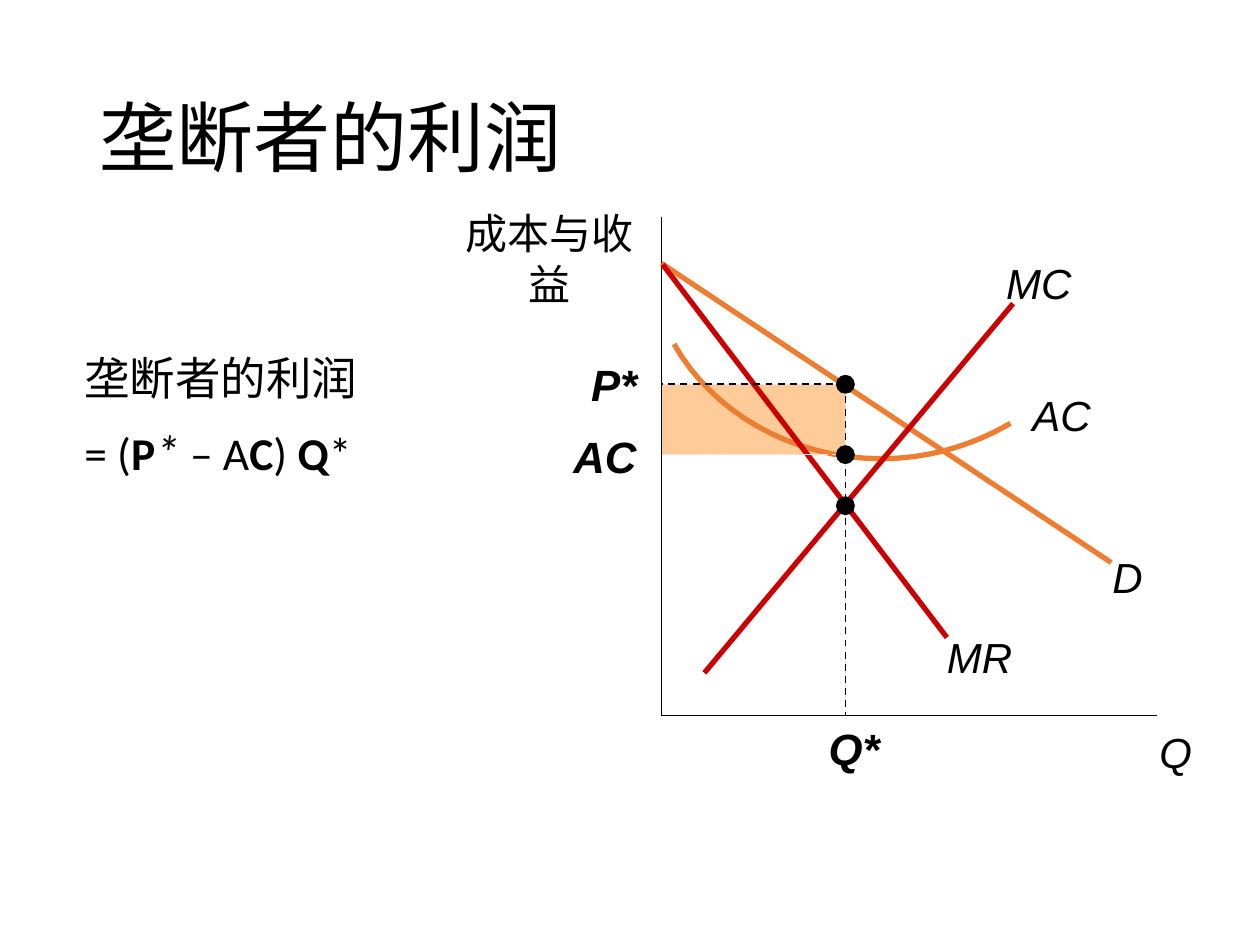
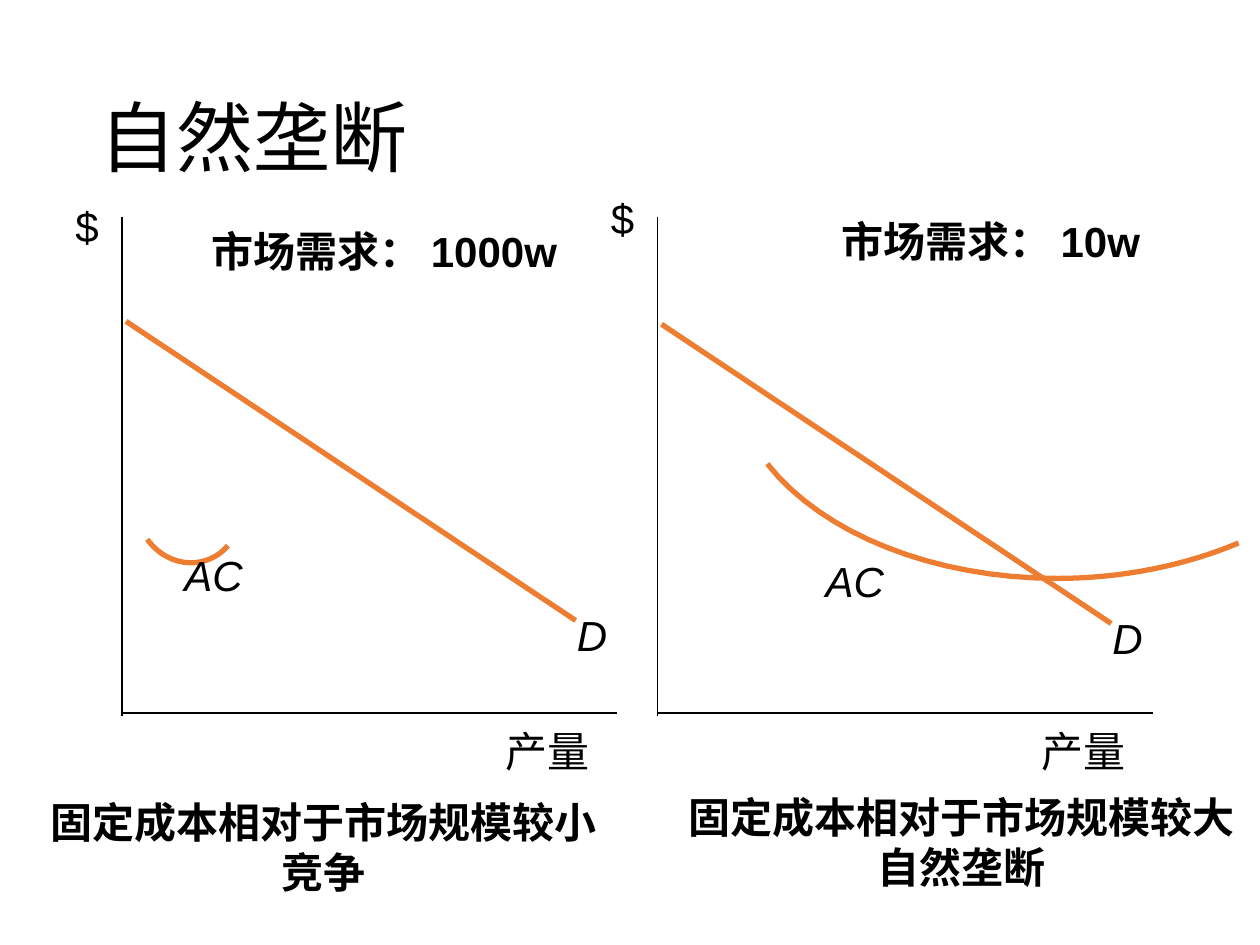
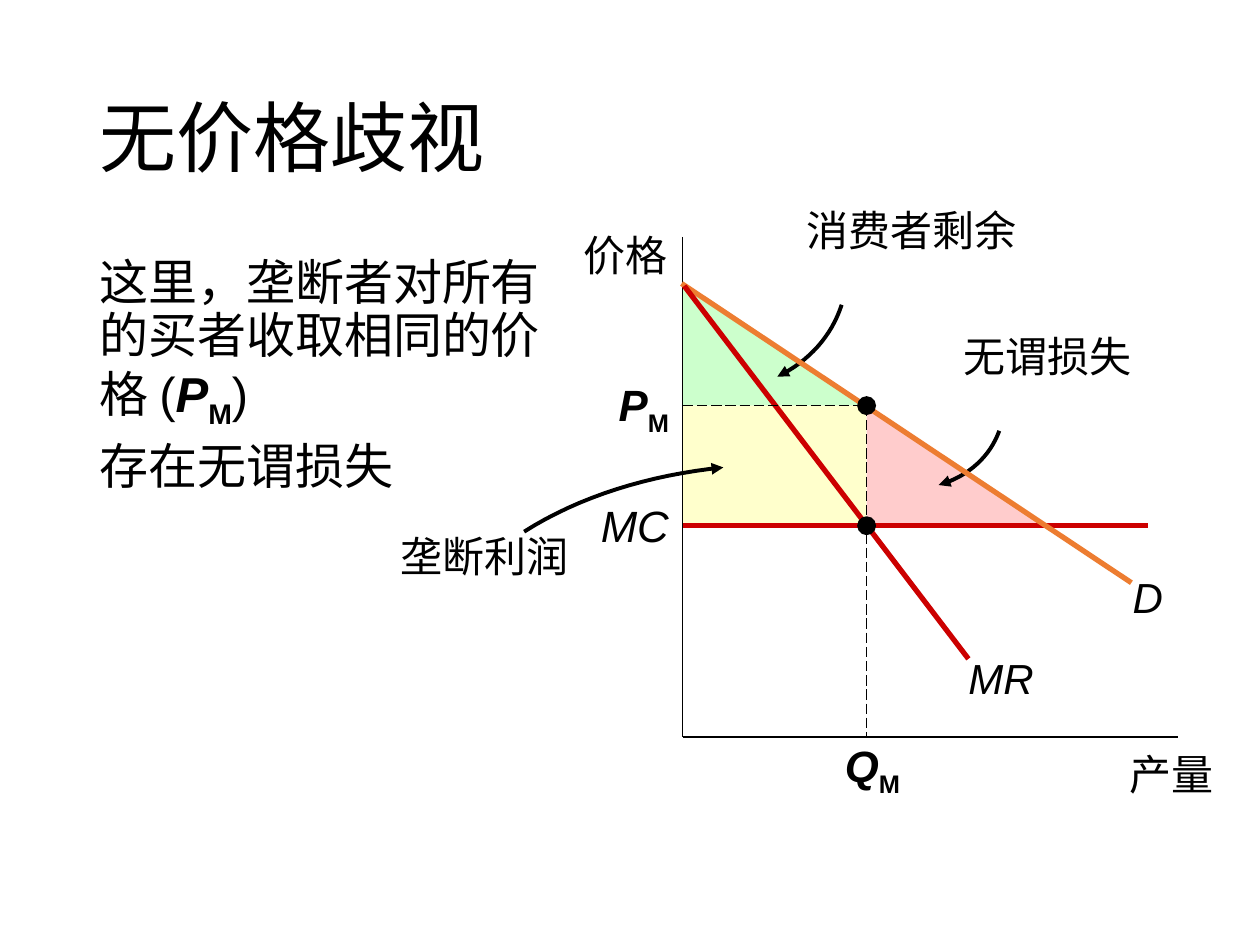
from lxml import etree
from pptx import Presentation
from pptx.dml.color import RGBColor
from pptx.enum.dml import MSO_LINE
from pptx.enum.shapes import MSO_CONNECTOR, MSO_SHAPE
from pptx.enum.text import MSO_ANCHOR, MSO_AUTO_SIZE, PP_ALIGN
from pptx.oxml.ns import qn
from pptx.util import Pt

LEFT, CENTER, RIGHT = PP_ALIGN.LEFT, PP_ALIGN.CENTER, PP_ALIGN.RIGHT
DASH, LONG_DASH = MSO_LINE.DASH, MSO_LINE.LONG_DASH
RECTANGLE, OVAL = MSO_SHAPE.RECTANGLE, MSO_SHAPE.OVAL
RIGHT_TRIANGLE = MSO_SHAPE.RIGHT_TRIANGLE

COLORS = {
    "ink": "000000",
    "demand": "ED7D31",
    "marginal": "CC0000",
    "faint": "E7E6E6",
    "profit": "FFCC99",
    "surplus": "CCFFCC",
    "loss": "FFCCCC",
    "revenue": "FFFFCC",
}
TITLE_ONLY, TITLE_AND_CONTENT = 5, 1
AXIS_WIDTH = 283
DOT_SIZE = 10.8
CURVE_STEPS = 16
BOLD_ITALIC = {"bold": True, "italic": True}


def color(name):
    return RGBColor.from_string(COLORS[name])


# Text
def write_paragraph(paragraph, runs, size, font="Arial", align=LEFT,
                    bold=False, italic=False):
    """Fill a paragraph with plain text or with (text, style) runs."""
    paragraph.alignment = align
    paragraph.font.name = font
    paragraph.font.size = Pt(size)
    paragraph.font.bold = bold
    paragraph.font.italic = italic
    paragraph.font.color.rgb = color("ink")
    if isinstance(runs, str):
        runs = [(runs, {})]
    for text, style in runs:
        run = paragraph.add_run()
        run.text = text
        if "bold" in style:
            run.font.bold = style["bold"]
        if "italic" in style:
            run.font.italic = style["italic"]
        if "size" in style:
            run.font.size = Pt(style["size"])
        if style.get("subscript"):
            run._r.get_or_add_rPr().set("baseline", "-25000")


def add_text_box(slide, left, top, width, height):
    box = slide.shapes.add_textbox(Pt(left), Pt(top), Pt(width), Pt(height))
    frame = box.text_frame
    frame.word_wrap = True
    frame.margin_left = frame.margin_right = 0
    frame.margin_top = frame.margin_bottom = 0
    return frame


def add_label(slide, left, top, width, runs, size=24, align=CENTER, lines=1,
              bold=False, italic=False):
    frame = add_text_box(slide, left, top, width, 29 * lines)
    write_paragraph(frame.paragraphs[0], runs, size, align=align,
                    bold=bold, italic=italic)


def place(placeholder, left, top, width, height):
    placeholder.left, placeholder.top = Pt(left), Pt(top)
    placeholder.width, placeholder.height = Pt(width), Pt(height)
    placeholder.text_frame.auto_size = MSO_AUTO_SIZE.NONE
    placeholder.text_frame.word_wrap = True


def add_titled_slide(presentation, title, layout=TITLE_ONLY):
    slide = presentation.slides.add_slide(presentation.slide_layouts[layout])
    shape = slide.shapes.title
    place(shape, 49.7, 28.8, 620.6, 104.4)
    shape.text_frame.vertical_anchor = MSO_ANCHOR.MIDDLE
    paragraph = shape.text_frame.paragraphs[0]
    paragraph.line_spacing = 0.9
    write_paragraph(paragraph, title, 44, "Calibri")
    return slide


# Lines, curves and areas
def add_line(slide, start, end, name="ink", width=0.75, dash=None):
    line = slide.shapes.add_connector(
        MSO_CONNECTOR.STRAIGHT, *(Pt(value) for value in (*start, *end)))
    line.line.color.rgb = color(name)
    line.line.width = Pt(width)
    if dash is not None:
        line.line.dash_style = dash
    etree.SubElement(line._element.spPr, qn("a:effectLst"))


def bezier_points(start, control_1, control_2, end):
    for step in range(1, CURVE_STEPS + 1):
        t = step / CURVE_STEPS
        weights = ((1 - t) ** 3, 3 * t * (1 - t) ** 2, 3 * t * t * (1 - t), t ** 3)
        corners = (start, control_1, control_2, end)
        yield tuple(Pt(sum(weight * corner[axis]
                           for weight, corner in zip(weights, corners)))
                    for axis in (0, 1))


def add_curve(slide, points, name="demand", width=3, arrow=False):
    """Draw joined cubic curves; each takes three points after the first."""
    builder = slide.shapes.build_freeform(Pt(points[0][0]), Pt(points[0][1]))
    for first in range(0, len(points) - 1, 3):
        builder.add_line_segments(bezier_points(*points[first:first + 4]), close=False)
    curve = builder.convert_to_shape()
    curve.shadow.inherit = False
    curve.fill.background()
    curve.line.color.rgb = color(name)
    curve.line.width = Pt(width)
    if arrow:
        outline = curve._element.spPr.find(qn("a:ln"))
        etree.SubElement(outline, qn("a:tailEnd"), type="triangle")


def add_arrow(slide, points):
    add_curve(slide, points, "ink", 2.25, arrow=True)


def add_area(slide, kind, left, top, width, height, name):
    area = slide.shapes.add_shape(kind, Pt(left), Pt(top), Pt(width), Pt(height))
    area.shadow.inherit = False
    area.fill.solid()
    area.fill.fore_color.rgb = color(name)
    area.line.fill.background()


def add_dot(slide, x, y):
    add_area(slide, OVAL, x - DOT_SIZE / 2, y - DOT_SIZE / 2,
             DOT_SIZE, DOT_SIZE, "ink")


# Diagram parts
def add_axes(slide, left, top, base, overlap=0):
    add_line(slide, (left, top), (left, base + overlap))
    add_line(slide, (left, base), (left + AXIS_WIDTH, base))


def add_demand(slide, left, top):
    add_line(slide, (left, top), (left + 257, top + 171), "demand", 3)
    add_label(slide, left + 249, top + 164.6, 34.6, "D", italic=True)


def add_marginal_revenue(slide, left, top):
    add_line(slide, (left, top), (left + 162.4, top + 213.1), "marginal", 3)
    add_label(slide, left + 157.6, top + 209.5, 46.8, "MR", italic=True)


def add_market(slide, axis, heading, heading_at, dollar_top, demand_top,
               curve, cost_at, caption, caption_at, caption_width):
    """Draw one market: axes, demand, average cost, heading and caption."""
    add_curve(slide, curve)
    add_label(slide, *cost_at, 55, "AC", italic=True)
    add_demand(slide, axis + 2.2, demand_top)
    add_axes(slide, axis, 123.8, 407.5, overlap=1.5)
    add_label(slide, axis + 169.2, 414.7, 98, "产量", align=RIGHT)
    add_label(slide, axis - 38, dollar_top, 36, "$")
    add_label(slide, *heading_at, 300, heading, bold=True)
    add_label(slide, *caption_at, caption_width, caption, lines=2, bold=True)


# Slides
def build_monopoly_profit(presentation):
    slide = add_titled_slide(presentation, "垄断者的利润")
    axis, base, quantity = 378, 409, 483.1
    price, cost, equilibrium = 219.6, 259.8, 289

    add_area(slide, RECTANGLE, axis, price, quantity - axis, cost - price, "profit")
    add_line(slide, (axis, price), (quantity, price), "faint", dash=LONG_DASH)
    add_line(slide, (quantity, price), (quantity, base), "faint", dash=LONG_DASH)

    frame = add_text_box(slide, 48.2, 203.8, 213, 190)
    formula = [("= (", {}), ("P", {"bold": True}), ("*", {"italic": True, "size": 28}),
               (" – A", {}), ("C", {"bold": True}), (") ", {}),
               ("Q", {"bold": True}), ("*", {})]
    write_paragraph(frame.paragraphs[0], "垄断者的利润", 26, "Calibri")
    write_paragraph(frame.add_paragraph(), formula, 26, "Calibri")
    for paragraph in frame.paragraphs:
        paragraph.line_spacing = 0.9
    frame.paragraphs[1].space_before = Pt(13)

    add_axes(slide, axis, 123.8, base)
    add_label(slide, axis + 205.2, 415.4, 98, "Q", align=RIGHT, italic=True)
    add_label(slide, 258.5, 118.8, 110.9, "成本与收益", lines=2)
    add_curve(slide, [(577.4, 241.9), (555.1, 254.9), (529.9, 262.1), (503.3, 262.1),
                      (453.6, 262.1), (407.5, 236.2), (385.2, 196.6)])
    add_label(slide, 577.4, 222.5, 58.3, "AC", italic=True)
    add_demand(slide, axis, 150.5)
    add_marginal_revenue(slide, 378.7, 151.2)
    add_line(slide, (402.5, 384.5), (578.9, 173.5), "marginal", 3)
    add_label(slide, 570.2, 146.9, 46.8, "MC", italic=True)

    add_line(slide, (axis, cost), (quantity, cost), "faint", dash=LONG_DASH)
    add_line(slide, (quantity, price), (quantity, base), width=1, dash=DASH)
    add_line(slide, (quantity, price), (axis, price), width=1, dash=DASH)
    for height in (price, cost, equilibrium):
        add_dot(slide, quantity, height)
    add_label(slide, 469.4, 412.6, 37.4, "Q*", 25, **BOLD_ITALIC)
    add_label(slide, 327.6, 245.5, 52.6, "AC", 25, LEFT, **BOLD_ITALIC)
    add_label(slide, 334.1, 204.5, 33.8, "P*", 25, **BOLD_ITALIC)


def build_natural_monopoly(presentation):
    slide = add_titled_slide(presentation, "自然垄断")
    add_market(
        slide, 69.8, "市场需求： 1000w", (69.5, 128.9), 114.5, 183.6,
        [(130.3, 311.8), (126, 316.8), (121, 319.7), (114.5, 321.1),
         (103, 323.3), (91.4, 318.2), (84.2, 308.2)], (94.5, 313.9),
        "固定成本相对于市场规模较小竞争", (24.5, 455), 321)
    add_market(
        slide, 375.8, "市场需求： 10w", (416, 123.1), 110.2, 185.3,
        [(707.8, 310.3), (676.8, 323.3), (640.8, 330.5), (604.1, 330.5),
         (534.2, 330.5), (470.2, 305.3), (438.5, 265)], (461, 317.5),
        "固定成本相对于市场规模较大自然垄断", (386.6, 452.2), 325.4)


def build_single_price(presentation):
    slide = add_titled_slide(presentation, "无价格歧视", TITLE_AND_CONTENT)
    axis, base, quantity = 390.2, 421.2, 495.2
    price, cost = 231.8, 300.4
    subscript_m = ("M", {"italic": False, "subscript": True})

    # Explanation
    body = slide.placeholders[1]
    place(body, 49.7, 144, 280.1, 342.7)
    frame = body.text_frame
    opening = [("这里，垄断者对所有的买者收取相同的价格 (", {}), ("P", BOLD_ITALIC),
               ("M", {"bold": True, "subscript": True}), (")", {})]
    for index, runs in enumerate((opening, "存在无谓损失")):
        paragraph = frame.add_paragraph() if index else frame.paragraphs[0]
        properties = paragraph._p.get_or_add_pPr()
        properties.set("marL", "0")
        properties.set("indent", "0")
        etree.SubElement(properties, qn("a:buNone"))
        paragraph.line_spacing = 0.9
        paragraph.space_before = Pt(10 * index)
        write_paragraph(paragraph, runs, 28)

    # Areas and their callouts
    add_area(slide, RIGHT_TRIANGLE, axis, 162.7, 103, 69.1, "surplus")
    add_label(slide, 460.8, 116.6, 129.6, "消费者剩余", align=LEFT)
    add_arrow(slide, [(481, 174.2), (475.2, 192.2), (462.2, 206.6), (444.2, 215.3)])
    add_area(slide, RIGHT_TRIANGLE, quantity, price, 103, 69.1, "loss")
    add_label(slide, 550.8, 188.6, 129.6, "无谓损失", align=LEFT)
    add_arrow(slide, [(571, 246.2), (565.9, 260.6), (553.7, 272.2), (536.4, 277.2)])
    add_area(slide, RECTANGLE, axis, price, quantity - axis, cost - price, "revenue")
    add_label(slide, 222.5, 303.1, 108.7, "垄断利润")
    add_arrow(slide, [(299.5, 303.8), (331.2, 283.7), (370.8, 271.4), (413.3, 267.1)])

    # Curves and axes
    add_line(slide, (axis, cost), (656, cost), "marginal", 3)
    add_label(slide, 343.4, 285.1, 44, "MC", 25, LEFT, italic=True)
    add_axes(slide, axis, 135.4, base)
    add_label(slide, axis + 205.2, 427.7, 98, "产量", align=RIGHT)
    add_label(slide, 270.7, 131, 110.9, "价格", align=RIGHT)
    add_demand(slide, 389.5, 162)
    add_marginal_revenue(slide, 391, 163.4)

    # Monopoly price and quantity
    add_line(slide, (axis, price), (quantity, price), dash=LONG_DASH)
    add_line(slide, (quantity, price), (quantity, base), dash=LONG_DASH)
    add_label(slide, 340, 216, 42.3, [("P", {}), subscript_m], 25, RIGHT, **BOLD_ITALIC)
    add_label(slide, 479.5, 421.9, 38.2, [("Q", {}), subscript_m], 25, **BOLD_ITALIC)
    for height in (price, cost):
        add_dot(slide, quantity, height)


def main():
    presentation = Presentation()
    presentation.slide_width, presentation.slide_height = Pt(720), Pt(540)
    build_monopoly_profit(presentation)
    build_natural_monopoly(presentation)
    build_single_price(presentation)
    presentation.save("out.pptx")


if __name__ == "__main__":
    main()
